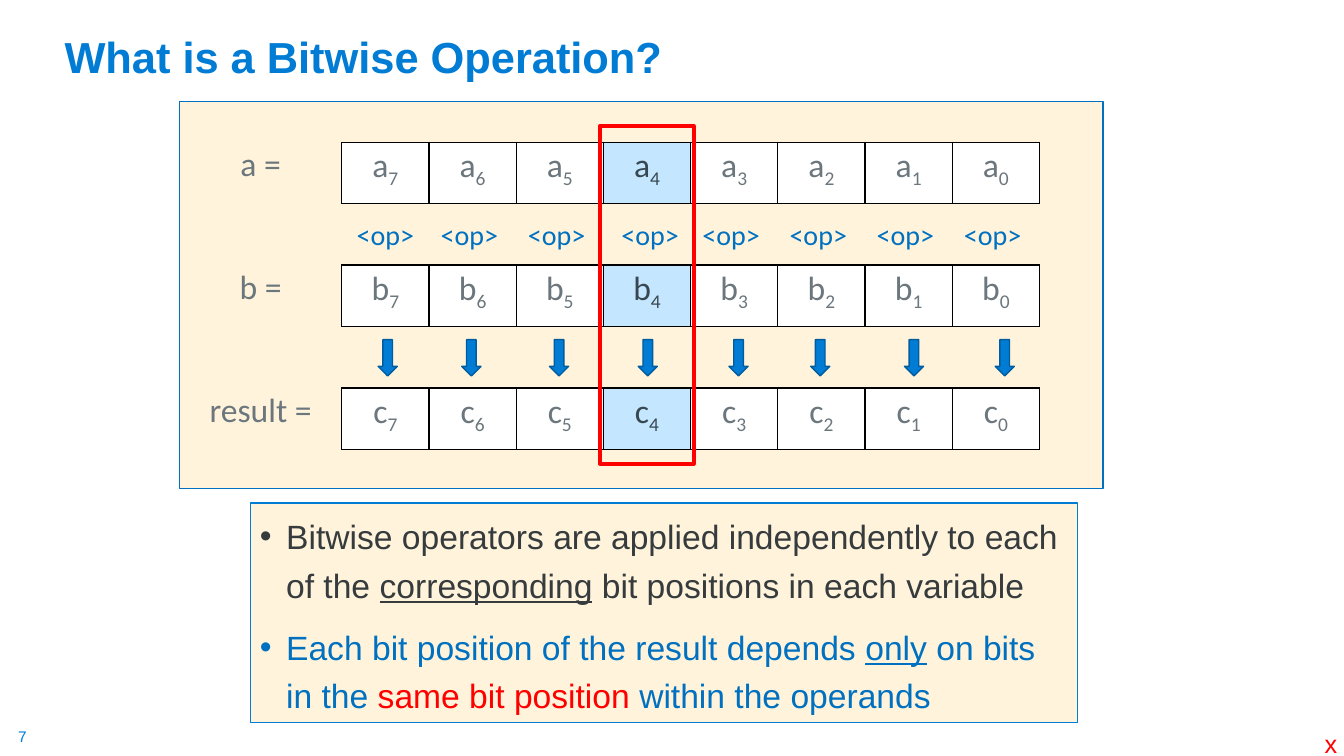
from dataclasses import dataclass

from lxml.etree import SubElement
from pptx import Presentation
from pptx.dml.color import RGBColor
from pptx.enum.shapes import MSO_SHAPE
from pptx.enum.text import MSO_ANCHOR, PP_ALIGN
from pptx.oxml import parse_xml
from pptx.oxml.ns import nsdecls, qn
from pptx.util import Inches, Pt


@dataclass(frozen=True)
class Theme:
    heading_font: str = "Arial"
    table_font: str = "Calibri"
    title_size: float = 31
    body_size: float = 24
    operator_size: float = 20
    mark_size: float = 18
    number_size: float = 11
    blue: str = "007CD5"
    deep_blue: str = "0070C0"
    arrow_edge: str = "005C9E"
    cream: str = "FFF4DB"
    white: str = "FFFFFF"
    pale_blue: str = "C4E6FF"
    black: str = "000000"
    dark: str = "363B3E"
    bold_bit: str = "384851"
    gray: str = "6B767D"
    red: str = "FF0000"


THEME = Theme()
NO_GRID_STYLE = "{2D5ABB26-0587-4C30-8999-92F81FD0307C}"
BIT_COUNT = 8
HIGHLIGHTED_BIT = 4
OPERATORS = ["<op>"] + ["<op> "] * 2 + [" <op>"] + ["<op> "] * 4
ARROW_LEFTS = [3.75, 4.58, 5.45, 6.33, 7.23, 8.04, 8.97, 9.87]
BULLETS = [
    (THEME.dark, [
        ("Bitwise operators are applied independently to each of the ", None, False),
        ("corresponding", None, True),
        (" bit positions in each variable", None, False),
    ]),
    (THEME.deep_blue, [
        ("Each bit position of the result depends ", None, False),
        ("only", None, True),
        (" on bits in the ", None, False),
        ("same bit position ", THEME.red, False),
        ("within the operands", None, False),
    ]),
]


def set_font(font, name, size, color, bold=False):
    font.name = name
    font.size = Pt(size)
    font.bold = bold
    font.color.rgb = RGBColor.from_string(color)


def place(shape, left, top, width, height):
    shape.left, shape.top = Inches(left), Inches(top)
    shape.width, shape.height = Inches(width), Inches(height)


def add_box(slide, kind, bounds, fill, line, line_width):
    shape = slide.shapes.add_shape(kind, *map(Inches, bounds))
    shape.shadow.inherit = False
    if fill:
        shape.fill.solid()
        shape.fill.fore_color.rgb = RGBColor.from_string(fill)
    else:
        shape.fill.background()
    shape.line.color.rgb = RGBColor.from_string(line)
    shape.line.width = Pt(line_width)
    return shape


def add_label(slide, bounds, text, size, color, margins):
    frame = slide.shapes.add_textbox(*map(Inches, bounds)).text_frame
    frame.word_wrap = False
    frame.margin_left = frame.margin_right = Inches(margins[0])
    frame.margin_top = frame.margin_bottom = Inches(margins[1])
    paragraph = frame.paragraphs[0]
    paragraph.text = text
    set_font(paragraph.font, THEME.heading_font, size, color)


def add_title(slide, text):
    title = slide.shapes.title
    place(title, 0.54, 0.09, 11.5, 0.78)
    title.text_frame.vertical_anchor = MSO_ANCHOR.BOTTOM
    paragraph = title.text_frame.paragraphs[0]
    paragraph.text = text
    paragraph.alignment = PP_ALIGN.LEFT
    paragraph.line_spacing = 0.9
    set_font(paragraph.font, THEME.heading_font, THEME.title_size, THEME.blue, True)


def add_bullets(slide, bounds):
    box = add_box(slide, MSO_SHAPE.RECTANGLE, bounds, THEME.cream, THEME.blue, 0.75)
    frame = box.text_frame
    frame.word_wrap = True
    frame.vertical_anchor = MSO_ANCHOR.TOP
    for index, (color, runs) in enumerate(BULLETS):
        paragraph = frame.add_paragraph() if index else frame.paragraphs[0]
        paragraph.alignment = PP_ALIGN.LEFT
        paragraph.line_spacing = 1.2
        if index:
            paragraph.space_before = Pt(10)
        properties = paragraph._p.get_or_add_pPr()
        properties.set("marL", str(Inches(0.26)))
        properties.set("indent", str(-Inches(0.26)))
        SubElement(properties, qn("a:buFont"), typeface=THEME.heading_font)
        SubElement(properties, qn("a:buChar"), char="•")
        set_font(paragraph.font, THEME.heading_font, THEME.body_size, color)
        for text, run_color, underlined in runs:
            run = paragraph.add_run()
            run.text = text
            run.font.color.rgb = RGBColor.from_string(run_color or color)
            if underlined:
                run.font.underline = True


def set_borders(cell, sides):
    properties = cell._tc.get_or_add_tcPr()
    for index, side in enumerate("LRTB"):
        paint = f'<a:solidFill><a:srgbClr val="{THEME.black}"/></a:solidFill>'
        if side not in sides:
            paint = "<a:noFill/>"
        line = parse_xml(f'<a:ln{side} {nsdecls("a")} w="{Pt(1)}">{paint}</a:ln{side}>')
        properties.insert(index, line)


def fill_cell(cell, sides, fill=None, text="", subscript="",
              size=THEME.body_size, color=THEME.gray):
    cell.margin_left = cell.margin_right = Inches(0.07)
    cell.margin_top = cell.margin_bottom = 0
    if fill:
        cell.fill.solid()
        cell.fill.fore_color.rgb = RGBColor.from_string(fill)
    else:
        cell.fill.background()
    set_borders(cell, sides)
    if not text:
        return
    paragraph = cell.text_frame.paragraphs[0]
    paragraph.alignment = PP_ALIGN.CENTER
    paragraph.line_spacing = 1.07
    set_font(paragraph.font, THEME.table_font, size, color)
    paragraph.add_run().text = text
    if subscript:
        run = paragraph.add_run()
        run.text = subscript
        run.font._element.set("baseline", "-25000")


def fill_bit_row(table, row, label, letter):
    fill_cell(table.cell(row, 0), "R", text=label)
    for column in range(1, BIT_COUNT + 1):
        bit = BIT_COUNT - column
        highlighted = bit == HIGHLIGHTED_BIT
        fill_cell(table.cell(row, column), "LRTB",
                  THEME.pale_blue if highlighted else THEME.white,
                  letter, str(bit),
                  color=THEME.bold_bit if highlighted else THEME.gray)


def fill_gap_row(table, row, labels):
    fill_cell(table.cell(row, 0), "")
    for column, label in enumerate(labels, 1):
        cell = table.cell(row, column)
        cell.vertical_anchor = MSO_ANCHOR.MIDDLE
        fill_cell(cell, "TB", text=label, size=THEME.operator_size, color=THEME.deep_blue)


def add_bit_table(slide):
    label_width, table_width, row_height = 1.61, 8.53, 0.61
    frame = slide.shapes.add_table(5, BIT_COUNT + 1, Inches(1.78), Inches(1.41),
                                   Inches(table_width), Inches(5 * row_height))
    table = frame.table
    table.first_row = table.horz_banding = False
    table._tbl.tblPr.find(qn("a:tableStyleId")).text = NO_GRID_STYLE
    for index, column in enumerate(table.columns):
        column.width = Inches((table_width - label_width) / BIT_COUNT if index else label_width)
    for row in table.rows:
        row.height = Inches(row_height)
    fill_bit_row(table, 0, "a =", "a")
    fill_gap_row(table, 1, OPERATORS)
    fill_bit_row(table, 2, "b =", "b")
    fill_gap_row(table, 3, [""] * BIT_COUNT)
    fill_bit_row(table, 4, "result =", "c")


def main():
    presentation = Presentation()
    presentation.slide_width, presentation.slide_height = Inches(13.33), Inches(7.5)
    slide = presentation.slides.add_slide(presentation.slide_layouts[5])
    add_title(slide, "What is a Bitwise Operation?")
    add_box(slide, MSO_SHAPE.RECTANGLE, (1.78, 1.01, 9.16, 3.84),
            THEME.cream, THEME.deep_blue, 1)
    add_bullets(slide, (2.48, 4.99, 8.21, 2.18))
    add_bit_table(slide)
    for left in ARROW_LEFTS:
        add_box(slide, MSO_SHAPE.DOWN_ARROW, (left, 3.37, 0.19, 0.36),
                THEME.blue, THEME.arrow_edge, 1)
    add_box(slide, MSO_SHAPE.RECTANGLE, (5.95, 1.25, 0.93, 3.35), None, THEME.red, 2.75)
    add_label(slide, (0.18, 7.21, 0.19, 0.19), "7", THEME.number_size, THEME.blue, (0, 0))
    add_label(slide, (13.04, 7.18, 0.33, 0.4), "x", THEME.mark_size, THEME.red, (0.1, 0.05))
    presentation.save("out.pptx")


if __name__ == "__main__":
    main()
